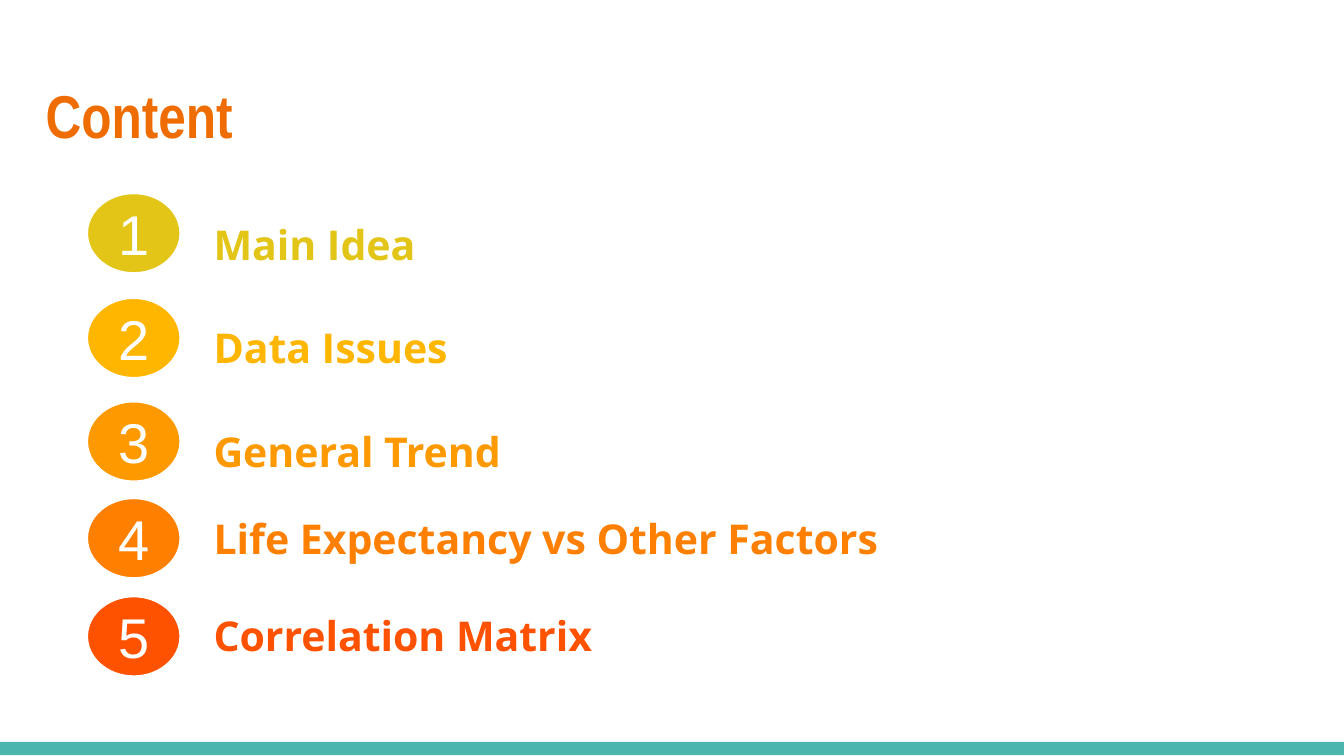
from pptx import Presentation
from pptx.dml.color import RGBColor
from pptx.enum.shapes import MSO_SHAPE
from pptx.enum.text import MSO_ANCHOR, MSO_AUTO_SIZE, PP_ALIGN
from pptx.util import Inches, Pt

TOPICS = [
    ("Main Idea", "E2C517", 1.44, 0.09),
    ("Data Issues", "FFB600", 2.22, 0.08),
    ("General Trend", "FF9900", 2.99, 0.08),
    ("Life Expectancy vs Other Factors", "FF8000", 3.71, 0.01),
    ("Correlation Matrix", "FF5200", 4.44, 0),
]


def color(hex_code):
    """Turn a hex string into a colour."""
    return RGBColor.from_string(hex_code)


def write(shape, text, size, font, hex_code, bold=False,
          align=PP_ALIGN.LEFT, anchor=MSO_ANCHOR.TOP):
    """Put one formatted paragraph into a shape."""
    frame = shape.text_frame
    frame.text = text
    frame.word_wrap = True
    frame.auto_size = MSO_AUTO_SIZE.NONE
    frame.vertical_anchor = anchor
    frame.margin_left = frame.margin_right = Inches(0.1)
    frame.margin_top = frame.margin_bottom = Inches(0.1)
    paragraph = frame.paragraphs[0]
    paragraph.alignment = align
    paragraph.font.size = Pt(size)
    paragraph.font.name = font
    paragraph.font.bold = bold
    paragraph.font.color.rgb = color(hex_code)


def add_filled(slide, kind, left, top, width, height, hex_code):
    """Add a flat preset shape without an outline."""
    shape = slide.shapes.add_shape(
        kind, Inches(left), Inches(top), Inches(width), Inches(height))
    shape.shadow.inherit = False
    shape.fill.solid()
    shape.fill.fore_color.rgb = color(hex_code)
    shape.line.fill.background()
    return shape


def place_heading(slide, left, top, width, height):
    """Place the title in its box."""
    heading = slide.shapes.title
    heading.left, heading.top = Inches(left), Inches(top)
    heading.width, heading.height = Inches(width), Inches(height)
    write(heading, "Content", 32.4, "Arial Narrow", "EF6C00", bold=True)


def add_topic(slide, left, top, number, topic, hex_code, drop):
    """Add a numbered badge and its topic, set lower by drop."""
    badge = add_filled(slide, MSO_SHAPE.OVAL, left, top, 0.69, 0.59, hex_code)
    badge.line.color.rgb = color("FFFFFF")
    badge.line.width = Pt(0.75)
    write(badge, str(number), 30, "Arial", "FFFFFF",
          align=PP_ALIGN.CENTER, anchor=MSO_ANCHOR.MIDDLE)
    label = slide.shapes.add_textbox(
        Inches(left + 0.84), Inches(top + drop), Inches(6.82), Inches(0.57))
    write(label, topic, 22, "Open Sans", hex_code, bold=True)
    label.text_frame.auto_size = MSO_AUTO_SIZE.SHAPE_TO_FIT_TEXT


def build():
    """Build the content slide and save it."""
    deck = Presentation()
    deck.slide_width = Inches(10)
    deck.slide_height = deck.slide_width * 9 // 16
    slide = deck.slides.add_slide(deck.slide_layouts[5])
    add_filled(slide, MSO_SHAPE.RECTANGLE, 0, 5.52, 10, 0.1, "4DB6AC")
    place_heading(slide, 0.24, 0.48, 9.32, 0.77)
    for number, (topic, hex_code, top, drop) in enumerate(TOPICS, 1):
        add_topic(slide, 0.65, top, number, topic, hex_code, drop)
    deck.save("out.pptx")


build()
